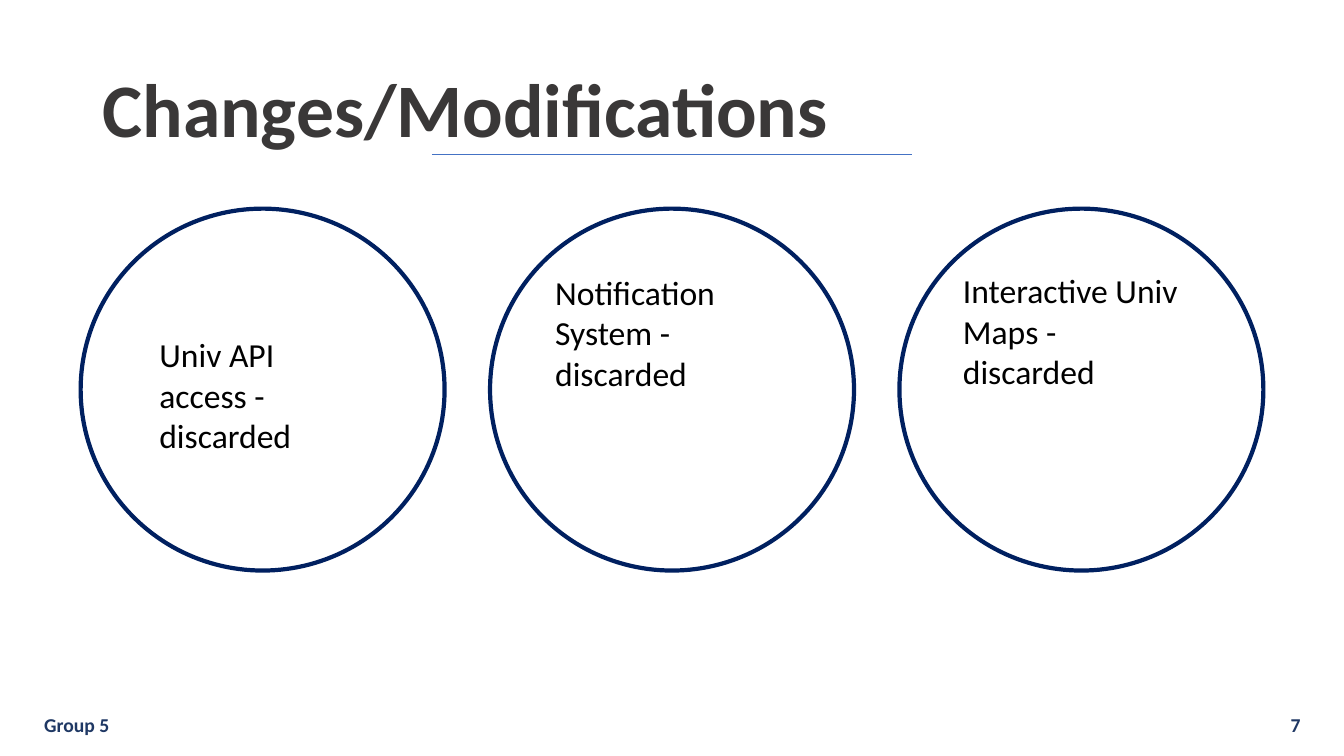
import pptx
import pptx.util
import pptx.dml.color
import pptx.enum.shapes
import pptx.enum.text
import pptx.oxml.ns
import lxml.etree
from dataclasses import dataclass

Anchor = pptx.enum.text.MSO_ANCHOR
Align = pptx.enum.text.PP_ALIGN


@dataclass(frozen=True)
class Theme:
    font: str = "Calibri"
    title: str = "3A3838"
    foot: str = "1F3864"
    body: str = "000000"
    ring: str = "002060"
    rule: str = "4472C4"
    title_size: int = 54
    body_size: int = 24
    foot_size: int = 14
    ring_width: float = 3
    rule_width: float = 0.75


@dataclass(frozen=True)
class Box:
    left: float
    top: float
    width: float
    height: float


@dataclass(frozen=True)
class Note:
    text: str
    box: Box
    anchor: Anchor = Anchor.TOP


THEME = Theme()
WIDTH = pptx.util.Inches(13.33)
HEIGHT = pptx.util.Inches(7.5)
RING = Box(6, 27.6, 27.08, 47.87)
RING_STEP = 30.46
NOTES = [
    Note("Univ API access - discarded", Box(11.12, 33.6, 16.2, 37.2), Anchor.MIDDLE),
    Note("Notification System - discarded", Box(40.57, 34.63, 18.75, 33.73)),
    Note("Interactive Univ Maps - discarded", Box(70.91, 34.43, 18.75, 33.73)),
]


def across(share: float) -> int:
    return round(WIDTH * share / 100)


def down(share: float) -> int:
    return round(HEIGHT * share / 100)


def place(box: Box) -> tuple[int, int, int, int]:
    return across(box.left), down(box.top), across(box.width), down(box.height)


def paint(code: str) -> pptx.dml.color.RGBColor:
    return pptx.dml.color.RGBColor.from_string(code)


def write(slide, text: str, box: Box, *, size: int, color: str, bold: bool = False,
          align: Align = Align.LEFT, anchor: Anchor = Anchor.MIDDLE,
          pad: float = 0.05, lead: float = 1.0) -> None:
    frame = slide.shapes.add_textbox(*place(box)).text_frame
    frame.word_wrap = True
    frame.vertical_anchor = anchor
    frame.margin_left = frame.margin_right = pptx.util.Inches(0.1)
    frame.margin_top = frame.margin_bottom = pptx.util.Inches(pad)
    para = frame.paragraphs[0]
    para.alignment = align
    para.line_spacing = lead
    run = para.add_run()
    run.text = text
    run.font.name = THEME.font
    run.font.size = pptx.util.Pt(size)
    run.font.bold = bold
    run.font.color.rgb = paint(color)


def draw_rule(slide, start: float, end: float, top: float) -> None:
    rule = slide.shapes.add_connector(
        pptx.enum.shapes.MSO_CONNECTOR.STRAIGHT,
        across(start), down(top), across(end), down(top))
    rule.line.color.rgb = paint(THEME.rule)
    rule.line.width = pptx.util.Pt(THEME.rule_width)
    lxml.etree.SubElement(rule._element.spPr, pptx.oxml.ns.qn("a:effectLst"))
    rule._element.remove(rule._element.find(pptx.oxml.ns.qn("p:style")))


def draw_ring(slide, box: Box) -> None:
    ring = slide.shapes.add_shape(pptx.enum.shapes.MSO_SHAPE.OVAL, *place(box))
    ring.shadow.inherit = False
    ring.fill.background()
    ring.line.color.rgb = paint(THEME.ring)
    ring.line.width = pptx.util.Pt(THEME.ring_width)


def main() -> None:
    deck = pptx.Presentation()
    deck.slide_width, deck.slide_height = WIDTH, HEIGHT
    slide = deck.slides.add_slide(deck.slide_layouts[6])

    draw_rule(slide, 32.13, 67.88, 20.48)
    write(slide, "Changes/Modifications", Box(6.9, 5.33, 86.25, 19.33),
          size=THEME.title_size, color=THEME.title, bold=True, lead=0.9)
    for text, left, align in (("Group 5", 2.55, Align.LEFT), ("7", 75, Align.RIGHT)):
        write(slide, text, Box(left, 93.2, 22.5, 5.33), size=THEME.foot_size,
              color=THEME.foot, bold=True, align=align)
    for index, note in enumerate(NOTES):
        draw_ring(slide, Box(RING.left + index * RING_STEP, RING.top,
                             RING.width, RING.height))
        write(slide, note.text, note.box, size=THEME.body_size, color=THEME.body,
              anchor=note.anchor, pad=0.1)

    deck.save("out.pptx")


if __name__ == "__main__":
    main()
